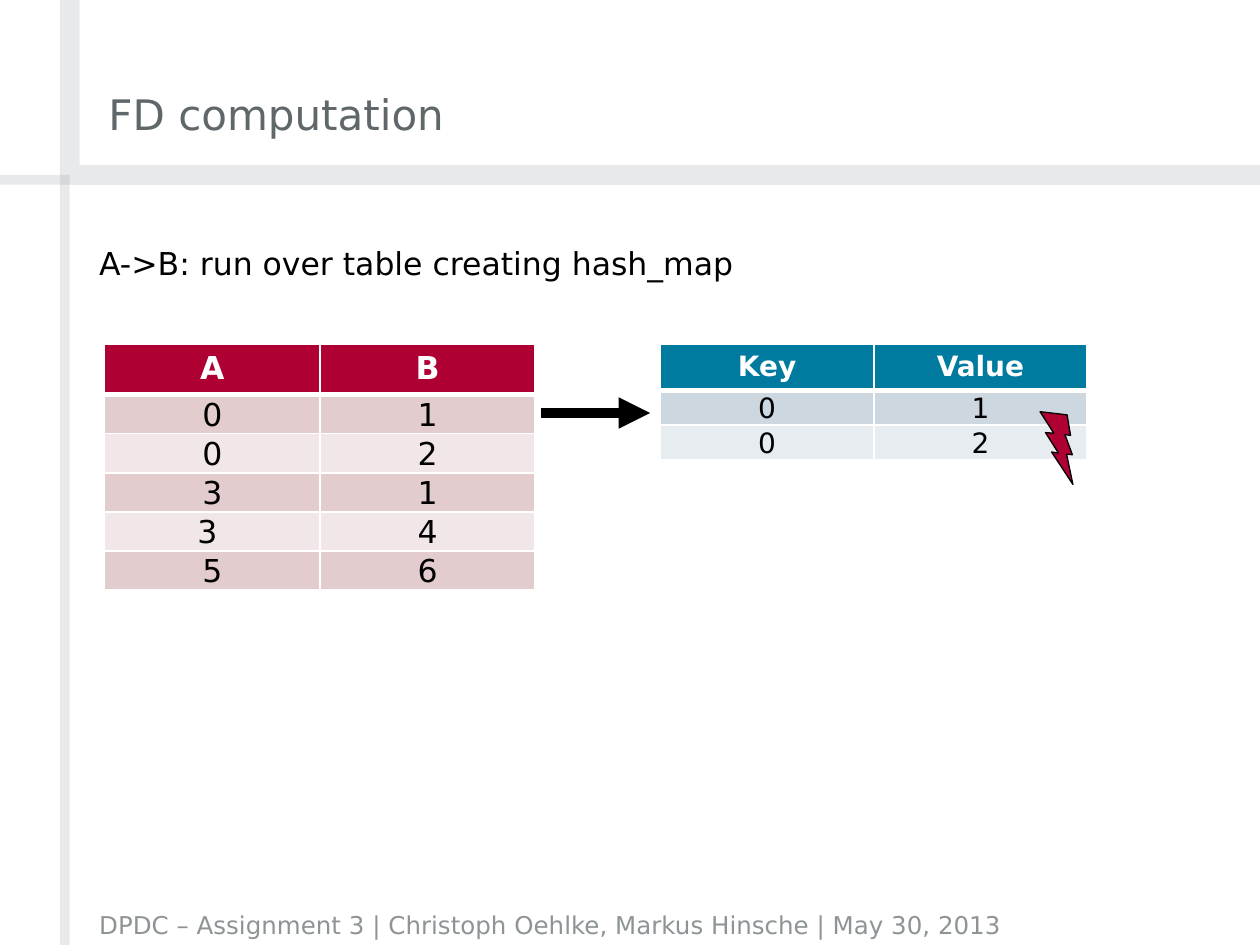
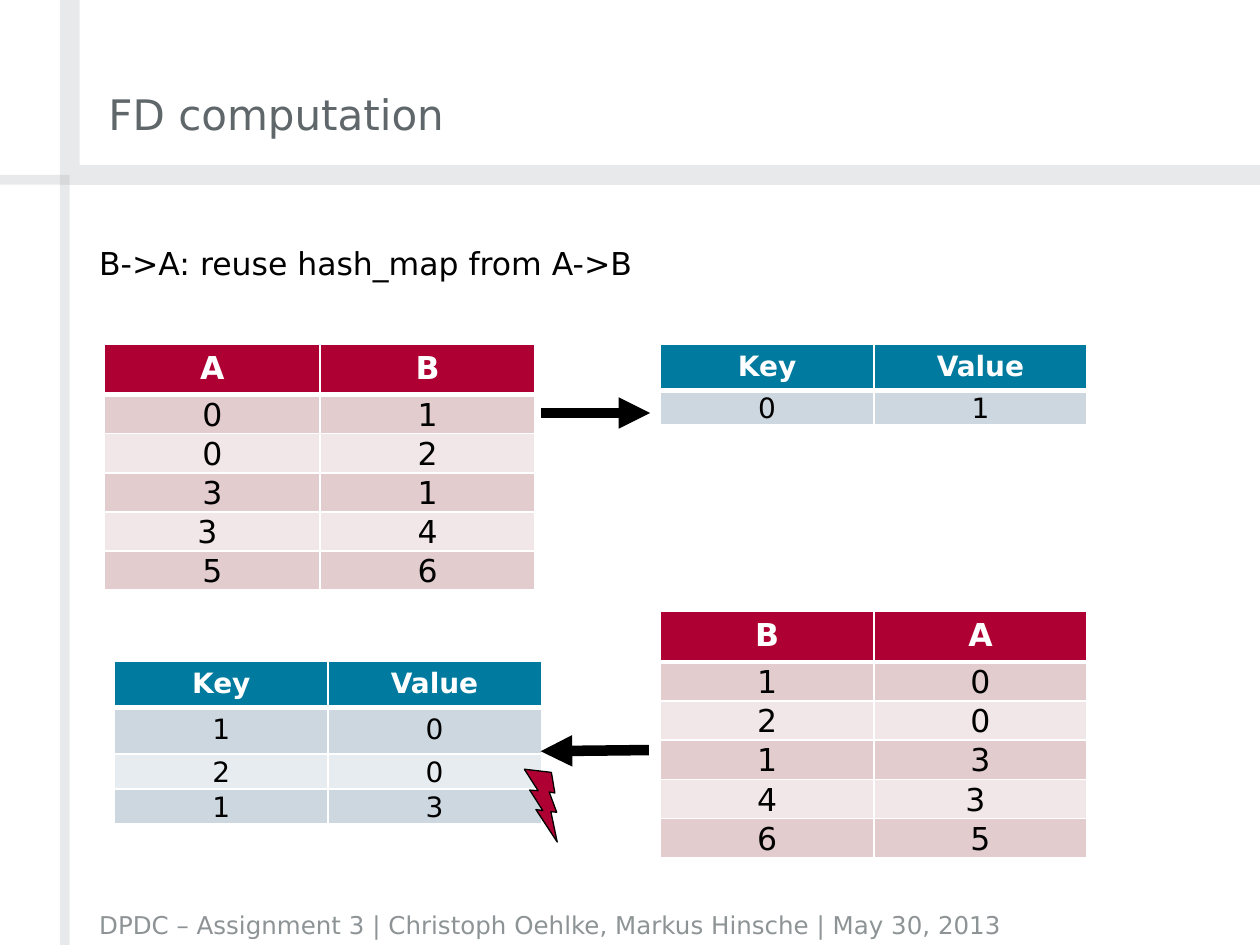
from lxml import etree
from pptx import Presentation
from pptx.dml.color import RGBColor
from pptx.enum.shapes import MSO_CONNECTOR as Connector, MSO_SHAPE as Shape
from pptx.enum.text import MSO_ANCHOR as Anchor, PP_ALIGN as Align
from pptx.oxml.ns import qn
from pptx.util import Pt

FONT = "DejaVu Sans"
WHITE, BLACK = "FFFFFF", "000000"
GREY, TITLE_GREY = "8E9496", "60676A"
RED, BLUE = "AF0034", "007A9E"
RED_STRIPES = ("E3CCCE", "F2E7E8")
BLUE_STRIPES = ("CCD7DF", "E7ECF0")

FOOTER = "DPDC – Assignment 3 | Christoph Oehlke, Markus Hinsche | May 30, 2013"
BANDS = [  # left, top, width, height
    (34.2, 0, 11.4, 94.3),
    (34.2, 94.3, 685.8, 11.3),
    (34.2, 105.6, 5.6, 434.4),
    (0, 100, 39.8, 5.6),
]
ROW_HEIGHT, KEY_HEADER_HEIGHT = 19.6, 26
TOP_ROW = 196.6
LEFT_COLUMN, RIGHT_COLUMN = 59.8, 377.4
RELATION_WIDTH, MAP_WIDTH = 246, 243.8
RELATION = [("0", "1"), ("0", "2"), ("3", "1"), ("3 ", "4"), ("5", "6")]


def color(value):
    """Turn a hex string into a colour."""
    return RGBColor.from_string(value)


def fill_solid(target, value, alpha=None):
    """Fill a shape, line or cell; alpha is an opacity in percent."""
    target.fill.solid()
    target.fill.fore_color.rgb = color(value)
    if alpha is not None:
        node = target.fill._xPr.find(qn("a:solidFill"))[0]
        etree.SubElement(node, qn("a:alpha"), val=str(alpha * 1000))


def write(frame, text, size=18, fill=BLACK, bold=False, align=None,
          spacing=None, before=None):
    """Write one formatted paragraph into a text frame."""
    paragraph = frame.paragraphs[0]
    paragraph.alignment = align
    paragraph.line_spacing = spacing
    if before is not None:
        paragraph.space_before = Pt(before)
    run = paragraph.add_run()
    run.text = text
    run.font.name, run.font.size, run.font.bold = FONT, Pt(size), bold
    run.font.color.rgb = color(fill)


def add_text(slide, box, text, anchor=Anchor.TOP, **style):
    """Add a wrapping text box without insets."""
    frame = slide.shapes.add_textbox(*map(Pt, box)).text_frame
    frame.word_wrap = True
    frame.vertical_anchor = anchor
    frame.margin_left = frame.margin_top = 0
    frame.margin_right = frame.margin_bottom = 0
    write(frame, text, **style)


def add_bands(slide):
    """Draw the translucent bands that frame the page."""
    for box in BANDS:
        band = slide.shapes.add_shape(Shape.RECTANGLE, *map(Pt, box))
        band.shadow.inherit = False
        band.line.fill.background()
        fill_solid(band, GREY, alpha=20)


def set_borders(cell, top=1, bottom=1):
    """Give a cell white borders with the given widths in points."""
    properties = cell._tc.get_or_add_tcPr()
    for side, width in (("L", 1), ("R", 1), ("T", top), ("B", bottom)):
        line = etree.SubElement(properties, qn("a:ln" + side), w=str(Pt(width)))
        paint = etree.SubElement(line, qn("a:solidFill"))
        etree.SubElement(paint, qn("a:srgbClr"), val=WHITE)


def add_grid(slide, left, top, width, rows, header_fill, stripes, size,
             header_height=ROW_HEIGHT, padded_rows=0):
    """Add a two-column striped table; padded rows are as tall as the header."""
    heights = [header_height] * (1 + padded_rows)
    heights += [ROW_HEIGHT] * (len(rows) - len(heights))
    table = slide.shapes.add_table(len(rows), 2, Pt(left), Pt(top), Pt(width),
                                   Pt(sum(heights))).table
    table.horz_banding = False
    for index, (values, height) in enumerate(zip(rows, heights)):
        table.rows[index].height = Pt(height)
        header = index == 0
        for column, value in enumerate(values):
            cell = table.cell(index, column)
            if index > padded_rows:
                cell.vertical_anchor = Anchor.BOTTOM
                cell.margin_left = cell.margin_right = cell.margin_top = Pt(0.75)
                cell.margin_bottom = 0
            set_borders(cell, top=3 if index == 1 else 1,
                        bottom=3 if header else 1)
            fill_solid(cell, header_fill if header else stripes[(index - 1) % 2])
            write(cell.text_frame, value, size=size, bold=header,
                  fill=WHITE if header else BLACK, align=Align.CENTER)


def add_relation(slide, left, top, width, header, rows):
    """Add a red table that shows the relation."""
    add_grid(slide, left, top, width, [header, *rows], RED, RED_STRIPES, 18)


def add_hash_map(slide, left, top, entries, padded_rows=0):
    """Add a blue table that shows the hash map."""
    add_grid(slide, left, top, MAP_WIDTH, [("Key", "Value"), *entries], BLUE,
             BLUE_STRIPES, 16, KEY_HEADER_HEIGHT, padded_rows)


def add_arrow(slide, start, end):
    """Draw a thick black arrow from start to end."""
    arrow = slide.shapes.add_connector(Connector.STRAIGHT, *map(Pt, start + end))
    arrow.line.width = Pt(6)
    fill_solid(arrow.line, BLACK)
    etree.SubElement(arrow.line._get_or_add_ln(), qn("a:tailEnd"), type="triangle")
    etree.SubElement(arrow._element.spPr, qn("a:effectLst"))


def add_conflict(slide, left, top):
    """Mark a violated dependency with a lightning bolt."""
    bolt = slide.shapes.add_shape(Shape.LIGHTNING_BOLT, Pt(left), Pt(top),
                                  Pt(36.7), Pt(33.1))
    bolt.rotation = 29.2
    bolt.shadow.inherit = False
    fill_solid(bolt, RED)
    fill_solid(bolt.line, BLACK)
    bolt.line.width = Pt(0.75)


def add_page(presentation, statement):
    """Add a page with the shared frame, the relation A, B and its arrow."""
    slide = presentation.slides.add_slide(presentation.slide_layouts[6])
    add_bands(slide)
    add_text(slide, (62, 0, 492, 79.2), "FD computation", anchor=Anchor.BOTTOM,
             size=24, fill=TITLE_GREY)
    add_text(slide, (56.7, 136, 643.7, 377), statement, spacing=1.15, before=5.4)
    add_text(slide, (56.7, 517, 643.7, 20), FOOTER, anchor=Anchor.BOTTOM,
             size=14, fill=GREY)
    add_relation(slide, LEFT_COLUMN, TOP_ROW, RELATION_WIDTH, ("A", "B"), RELATION)
    add_arrow(slide, (309, 236), (371.5, 236))
    return slide


def main():
    """Build both pages and save them."""
    presentation = Presentation()
    presentation.slide_width, presentation.slide_height = Pt(720), Pt(540)

    slide = add_page(presentation, "A->B: run over table creating hash_map")
    add_hash_map(slide, RIGHT_COLUMN, TOP_ROW, [("0", "1"), ("0", "2")])
    add_conflict(slide, 586.8, 236.9)

    slide = add_page(presentation, "B->A: reuse hash_map from A->B")
    add_hash_map(slide, RIGHT_COLUMN, TOP_ROW, [("0", "1")])
    swapped = [(b, a) for a, b in RELATION]
    add_relation(slide, RIGHT_COLUMN, 349.4, MAP_WIDTH, ("B", "A"), swapped)
    add_hash_map(slide, 65.5, 378, [("1", "0"), ("2", "0"), ("1", "3")],
                 padded_rows=1)
    add_conflict(slide, 292.1, 441.2)
    add_arrow(slide, (370.8, 428.6), (309, 429.3))

    presentation.save("out.pptx")


main()
